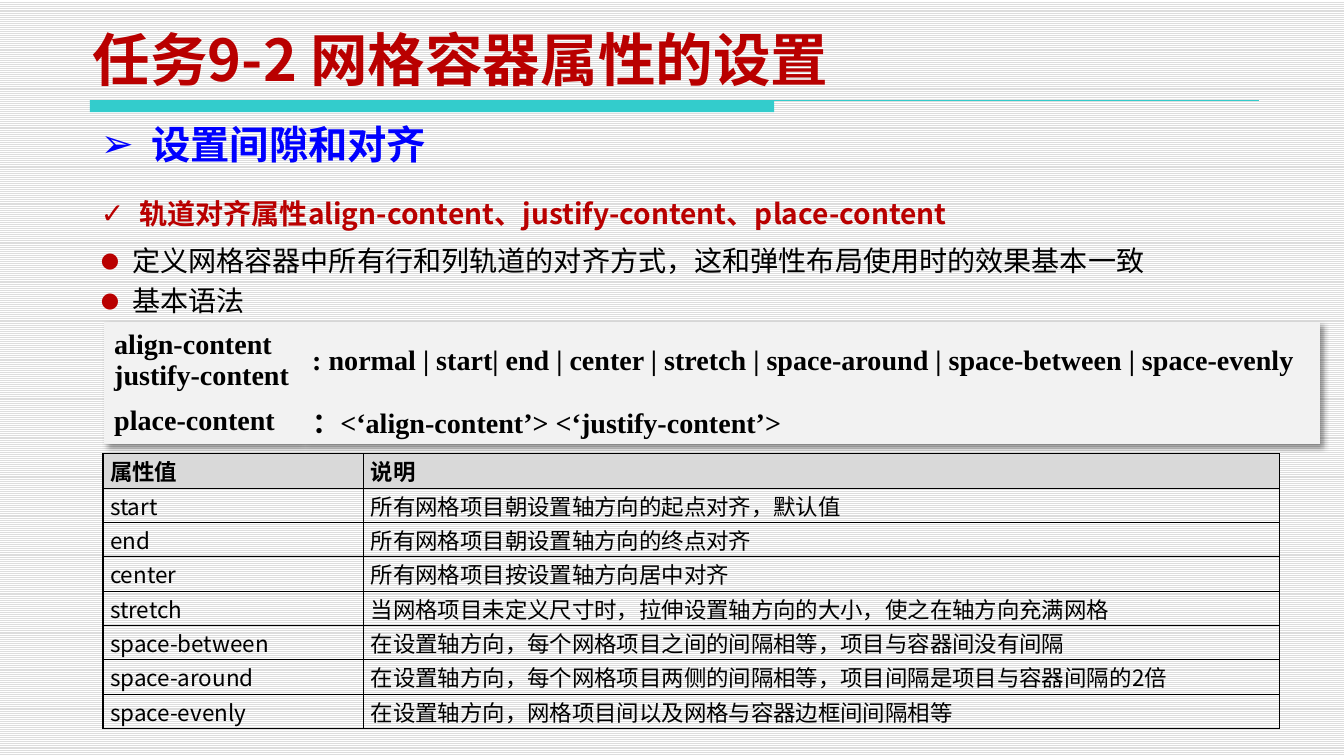
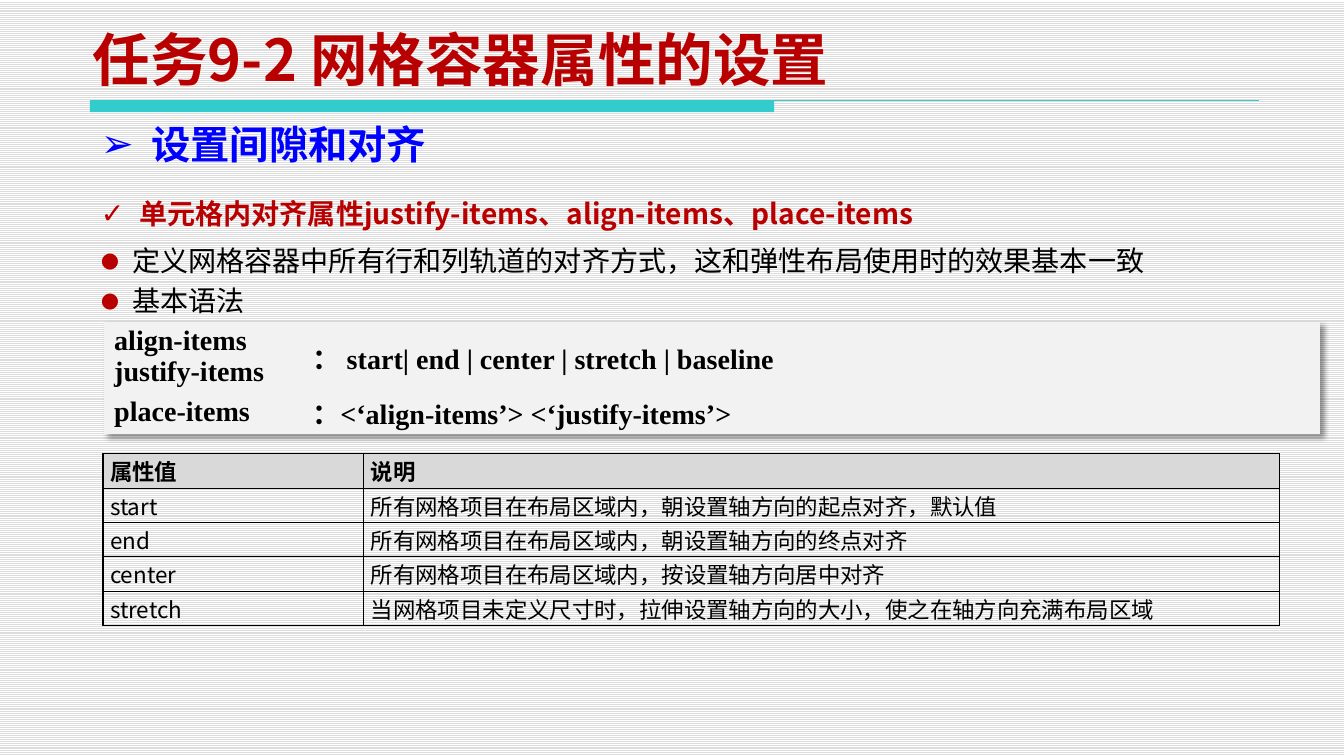
from dataclasses import dataclass

from lxml import etree
from pptx import Presentation
from pptx.dml.color import RGBColor
from pptx.enum.dml import MSO_PATTERN
from pptx.enum.shapes import MSO_CONNECTOR, MSO_SHAPE
from pptx.enum.text import MSO_ANCHOR, PP_ALIGN
from pptx.oxml import parse_xml
from pptx.oxml.ns import qn
from pptx.util import Inches, Pt

HATCH = MSO_PATTERN.LIGHT_HORIZONTAL
RECT = MSO_SHAPE.RECTANGLE
LINE = MSO_CONNECTOR.STRAIGHT
TOP, MIDDLE, BOTTOM = MSO_ANCHOR.TOP, MSO_ANCHOR.MIDDLE, MSO_ANCHOR.BOTTOM
JUSTIFY = PP_ALIGN.JUSTIFY

SANS, SERIF, SYMBOL = "Noto Sans CJK SC", "Times New Roman", "DejaVu Sans"
RED, BLUE, TEAL, BLACK = "B90000", "0000FF", "33CCCC", "000000"
PANEL, HEADER = "F2F2F2", "D9D9D9"

NS = 'xmlns:a="http://schemas.openxmlformats.org/drawingml/2006/main"'
PLAIN = "{2D5ABB26-0587-4C30-8999-92F81FD0307C}"
SHADOW = (f'<a:effectLst {NS}><a:outerShdw blurRad="50800" dist="38100" '
          'dir="2700000" algn="tl" rotWithShape="0"><a:prstClr val="black">'
          '<a:alpha val="40000"/></a:prstClr></a:outerShdw></a:effectLst>')


@dataclass(frozen=True)
class Style:
    size: int
    color: str = BLACK
    bold: bool = False
    font: str = SANS
    align: PP_ALIGN | None = None
    spacing: float | None = None
    bullet: str = ""
    indent: float = 0
    scale: int = 100


TITLE = Style(41, RED, True)
TOPIC = Style(28, BLUE, True, SYMBOL, JUSTIFY, bullet="➢", indent=0.5)
POINT = Style(20, RED, True, spacing=1.5, bullet="✓", indent=0.38)
BODY = Style(20, spacing=1.2, bullet="●", indent=0.31, scale=75)
CODE = Style(20, bold=True, font=SERIF)
HEAD = Style(16, bold=True, align=JUSTIFY)
ENTRY = Style(16, align=JUSTIFY)


@dataclass(frozen=True)
class Page:
    point: str
    syntax: list[tuple[str, str]]
    heights: list[float]
    values: list[tuple[str, str]]


PAGES = [
    Page(
        "轨道对齐属性align-content、justify-content、place-content",
        [("align-content\njustify-content",
          ": normal | start| end | center | stretch | space-around"
          " | space-between | space-evenly"),
         ("place-content", "：<‘align-content’> <‘justify-content’>")],
        [0.76, 0.44],
        [("start", "所有网格项目朝设置轴方向的起点对齐，默认值"),
         ("end", "所有网格项目朝设置轴方向的终点对齐"),
         ("center", "所有网格项目按设置轴方向居中对齐"),
         ("stretch", "当网格项目未定义尺寸时，拉伸设置轴方向的大小，使之在轴方向充满网格"),
         ("space-between", "在设置轴方向，每个网格项目之间的间隔相等，项目与容器间没有间隔"),
         ("space-around", "在设置轴方向，每个网格项目两侧的间隔相等，项目间隔是项目与容器间隔的2倍"),
         ("space-evenly", "在设置轴方向，网格项目间以及网格与容器边框间间隔相等")],
    ),
    Page(
        "单元格内对齐属性justify-items、align-items、place-items",
        [("align-items\njustify-items",
          "： start| end | center | stretch | baseline"),
         ("place-items", "：<‘align-items’> <‘justify-items’>")],
        [0.68, 0.42],
        [("start", "所有网格项目在布局区域内，朝设置轴方向的起点对齐，默认值"),
         ("end", "所有网格项目在布局区域内，朝设置轴方向的终点对齐"),
         ("center", "所有网格项目在布局区域内，按设置轴方向居中对齐"),
         ("stretch", "当网格项目未定义尺寸时，拉伸设置轴方向的大小，使之在轴方向充满布局区域")],
    ),
]


def rgb(color: str) -> RGBColor:
    return RGBColor.from_string(color)


def add_bullet(para, style: Style) -> None:
    props = para._p.get_or_add_pPr()
    props.set("marL", str(Inches(style.indent)))
    props.set("indent", str(-Inches(style.indent)))
    tint = etree.SubElement(props, qn("a:buClr"))
    etree.SubElement(tint, qn("a:srgbClr"), val=style.color if style.bold else RED)
    etree.SubElement(props, qn("a:buSzPct"), val=str(style.scale * 1000))
    etree.SubElement(props, qn("a:buFont"), typeface=SYMBOL)
    etree.SubElement(props, qn("a:buChar"), char=style.bullet)


def write(frame, text: str, style: Style) -> None:
    """Fill a text frame, one paragraph for each line of text."""
    for i, line in enumerate(text.split("\n")):
        para = frame.add_paragraph() if i else frame.paragraphs[0]
        para.text = line
        if style.bullet:
            add_bullet(para, style)
        para.alignment = style.align
        para.line_spacing = style.spacing
        font = para.font
        font.size, font.bold, font.name = Pt(style.size), style.bold, style.font
        font.color.rgb = rgb(style.color)
        etree.SubElement(font._element, qn("a:ea"), typeface=SANS)


def add_text(slide, left: float, top: float, width: float, height: float,
             text: str, style: Style, anchor: MSO_ANCHOR = TOP) -> None:
    box = slide.shapes.add_textbox(
        Inches(left), Inches(top), Inches(width), Inches(height))
    frame = box.text_frame
    frame.word_wrap = True
    frame.vertical_anchor = anchor
    write(frame, text, style)


def add_band(slide) -> None:
    left, top = Inches(0.89), Inches(0.99)
    bar = slide.shapes.add_shape(RECT, left, top, Inches(6.77), Inches(0.12))
    bar.shadow.inherit = False
    bar.fill.solid()
    bar.fill.fore_color.rgb = rgb(TEAL)
    bar.line.fill.background()
    rule = slide.shapes.add_connector(LINE, left, top, Inches(12.46), top)
    rule.line.color.rgb = rgb(TEAL)
    rule.line.width = Pt(0.75)
    etree.SubElement(rule._element.spPr, qn("a:effectLst"))


def add_grid(slide, left: float, top: float, widths: list[float],
             heights: list[float]):
    """Add a table without any banding or style."""
    frame = slide.shapes.add_table(
        len(heights), len(widths), Inches(left), Inches(top),
        Inches(sum(widths)), Inches(sum(heights)))
    table = frame.table
    table.first_row = table.horz_banding = False
    table._tbl.tblPr.find(qn("a:tableStyleId")).text = PLAIN
    for col, width in zip(table.columns, widths):
        col.width = Inches(width)
    for row, height in zip(table.rows, heights):
        row.height = Inches(height)
    return table


def fill_cell(cell, text: str, style: Style, fill: str, side: float) -> None:
    cell.margin_left = cell.margin_right = Inches(side)
    cell.margin_top = cell.margin_bottom = 0
    cell.vertical_anchor = MIDDLE
    if fill:
        cell.fill.solid()
        cell.fill.fore_color.rgb = rgb(fill)
    else:
        cell.fill.background()
    write(cell.text_frame, text, style)


def add_border(cell) -> None:
    for i, side in enumerate(("lnL", "lnR", "lnT", "lnB")):
        cell._tc.get_or_add_tcPr().insert(i, parse_xml(
            f'<a:{side} {NS} w="{Pt(1)}"><a:solidFill>'
            f'<a:srgbClr val="{BLACK}"/></a:solidFill></a:{side}>'))


def add_syntax(slide, page: Page) -> None:
    table = add_grid(slide, 1.03, 3.19, [1.96, 10.07], page.heights)
    table._tbl.tblPr.insert(0, parse_xml(SHADOW))
    for r, texts in enumerate(page.syntax):
        for c, text in enumerate(texts):
            fill_cell(table.cell(r, c), text, CODE, PANEL, 0.1)


def add_values(slide, page: Page) -> None:
    rows = [("属性值", "说明"), *page.values]
    table = add_grid(slide, 1.02, 4.49, [2.58, 9.06], [0.34] * len(rows))
    for r, texts in enumerate(rows):
        style, fill = (ENTRY, "") if r else (HEAD, HEADER)
        for c, text in enumerate(texts):
            cell = table.cell(r, c)
            fill_cell(cell, text, style, fill, 0.07)
            add_border(cell)


def add_page(deck, page: Page) -> None:
    slide = deck.slides.add_slide(deck.slide_layouts[6])
    add_band(slide)
    add_text(slide, 0.82, 0.28, 8.03, 0.69, "任务9-2 网格容器属性的设置", TITLE, BOTTOM)
    add_text(slide, 0.9, 1.14, 6.68, 0.58, "设置间隙和对齐", TOPIC)
    add_text(slide, 0.9, 1.73, 12.36, 0.53, page.point, POINT)
    add_text(slide, 0.9, 2.29, 12.28, 0.9,
             "定义网格容器中所有行和列轨道的对齐方式，这和弹性布局使用时的效果基本一致\n基本语法",
             BODY)
    add_syntax(slide, page)
    add_values(slide, page)


def main() -> None:
    deck = Presentation()
    deck.slide_width, deck.slide_height = Inches(13.3), Inches(7.48)
    back = deck.slide_master.background.fill
    back.patterned()
    back.pattern = HATCH
    back.fore_color.rgb = rgb("DDDDDD")
    back.back_color.rgb = rgb("FFFFFF")
    for page in PAGES:
        add_page(deck, page)
    deck.save("out.pptx")


if __name__ == "__main__":
    main()
